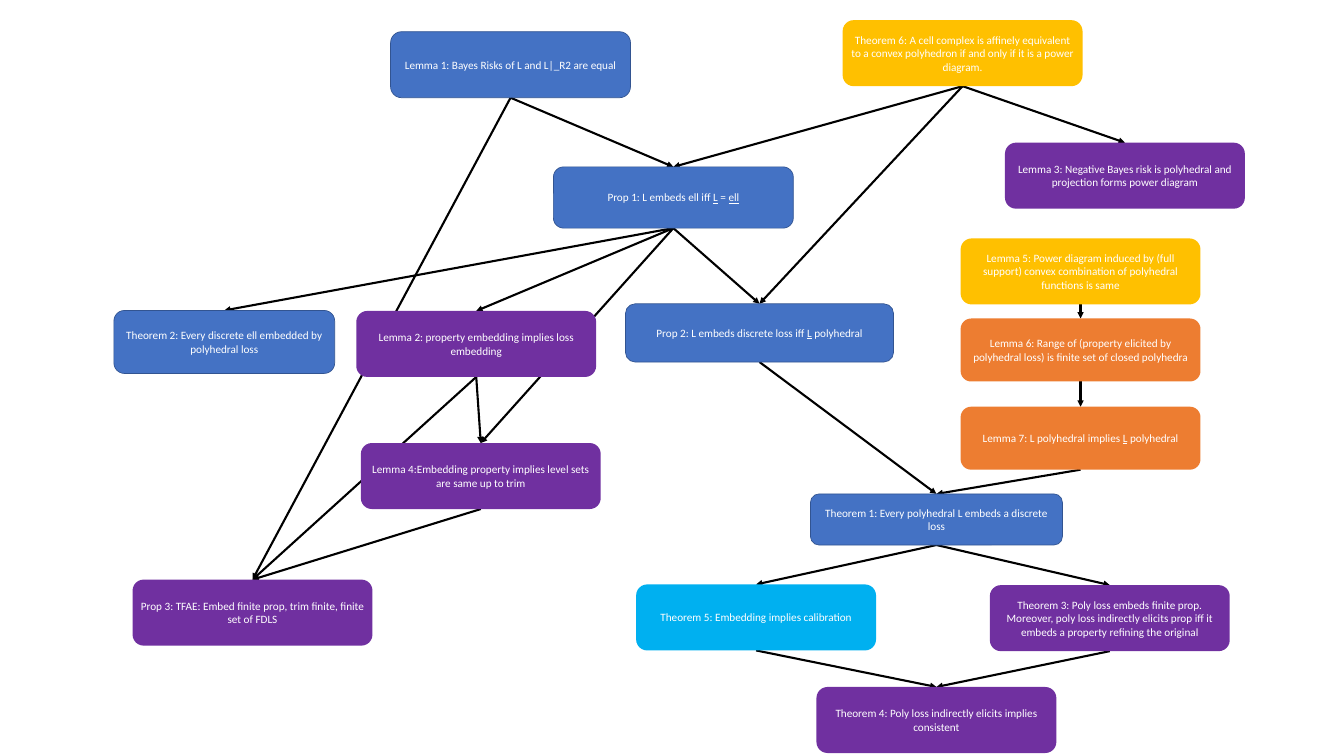
from pptx import Presentation
from pptx.dml.color import RGBColor
from pptx.enum.shapes import MSO_CONNECTOR, MSO_SHAPE
from pptx.enum.text import MSO_ANCHOR, PP_ALIGN
from pptx.oxml.ns import qn
from pptx.util import Pt
from lxml.etree import SubElement

BLUE = RGBColor(0x44, 0x72, 0xC4)
DARK_BLUE = RGBColor(0x32, 0x54, 0x91)
GOLD = RGBColor(0xFF, 0xC0, 0x00)
ORANGE = RGBColor(0xED, 0x7D, 0x31)
PURPLE = RGBColor(0x70, 0x30, 0xA0)
CYAN = RGBColor(0x00, 0xB0, 0xF0)
WHITE = RGBColor(0xFF, 0xFF, 0xFF)
BLACK = RGBColor(0x00, 0x00, 0x00)

SIZE = (342.72, 94.3)
LOW_SIZE = (342.72, 90)
TOP, BOTTOM = 0, 2  # connection sites of a rounded rectangle

# name: (left, top), (width, height), fill, text with *underlined* parts
STATEMENTS = {
    "Lemma 1": ((558, 45.3), SIZE, BLUE,
                "Lemma 1: Bayes Risks of L and L|_R2 are equal"),
    "Prop 1": ((790.6, 238.4), (342.72, 87.5), BLUE,
               "Prop 1: L embeds ell iff *L* = *ell*"),
    "Prop 2": ((893.5, 434), (383, 83.2), BLUE,
               "Prop 2: L embeds discrete loss iff *L* polyhedral"),
    "Theorem 1": ((1157.8, 705.6), (360, 73), BLUE,
                  "Theorem 1: Every polyhedral L embeds a discrete loss"),
    "Theorem 2": ((162.7, 443.5), (315.4, 90), BLUE,
                  "Theorem 2: Every discrete ell embedded by polyhedral loss"),
    "Theorem 6": ((1203.8, 28.8), SIZE, GOLD,
                  "Theorem 6: A cell complex is affinely equivalent to a convex "
                  "polyhedron if and only if it is a power diagram."),
    "Lemma 7": ((1372.3, 581), LOW_SIZE, ORANGE,
                "Lemma 7: L polyhedral implies *L* polyhedral"),
    "Lemma 6": ((1372.3, 455), LOW_SIZE, ORANGE,
                "Lemma 6: Range of (property elicited by polyhedral loss) "
                "is finite set of closed polyhedra"),
    "Lemma 5": ((1372.3, 340.6), SIZE, GOLD,
                "Lemma 5: Power diagram induced by (full support) convex "
                "combination of polyhedral functions is same"),
    "Lemma 3": ((1435.7, 203.8), SIZE, PURPLE,
                "Lemma 3: Negative Bayes risk is polyhedral and projection "
                "forms power diagram"),
    "Lemma 4": ((515.5, 632.9), SIZE, PURPLE,
                "Lemma 4:Embedding property implies level sets are same up to trim"),
    "Lemma 2": ((509, 444.2), SIZE, PURPLE,
                "Lemma 2: property embedding implies loss embedding"),
    "Prop 3": ((189.4, 828), SIZE, PURPLE,
               "Prop 3: TFAE: Embed finite prop, trim finite, finite set of FDLS"),
    "Theorem 3": ((1414.1, 835.9), SIZE, PURPLE,
                  "Theorem 3: Poly loss embeds finite prop. Moreover, poly loss "
                  "indirectly elicits prop iff it embeds a property refining "
                  "the original"),
    "Theorem 4": ((1166.4, 981.4), SIZE, PURPLE,
                  "Theorem 4: Poly loss indirectly elicits implies consistent"),
    "Theorem 5": ((908.8, 834.9), SIZE, CYAN,
                  "Theorem 5: Embedding implies calibration"),
}

# statement: the statements that build on it
IMPLICATIONS = {
    "Lemma 1": ["Prop 3", "Prop 1"],
    "Theorem 6": ["Prop 1", "Prop 2", "Lemma 3"],
    "Prop 1": ["Prop 2", "Theorem 2", "Lemma 2", "Lemma 4"],
    "Lemma 2": ["Prop 3", "Lemma 4"],
    "Lemma 4": ["Prop 3"],
    "Prop 2": ["Theorem 1"],
    "Lemma 5": ["Lemma 6"],
    "Lemma 6": ["Lemma 7"],
    "Lemma 7": ["Theorem 1"],
    "Theorem 1": ["Theorem 3", "Theorem 5"],
    "Theorem 3": ["Theorem 4"],
    "Theorem 5": ["Theorem 4"],
}


def add_statement(page, position, size, fill, text):
    box = page.shapes.add_shape(MSO_SHAPE.ROUNDED_RECTANGLE,
                                *map(Pt, position + size))
    box.shadow.inherit = False
    box.fill.solid()
    box.fill.fore_color.rgb = fill
    if fill == BLUE:
        box.line.color.rgb = DARK_BLUE
        box.line.width = Pt(1)
    else:
        box.line.fill.background()
    frame = box.text_frame
    frame.word_wrap = True
    frame.vertical_anchor = MSO_ANCHOR.MIDDLE
    para = frame.paragraphs[0]
    para.alignment = PP_ALIGN.CENTER
    para.font.name = "Calibri"
    para.font.size = Pt(16)
    para.font.color.rgb = WHITE
    for index, part in enumerate(text.split("*")):
        if part:
            span = para.add_run()
            span.text = part
            if index % 2:
                span.font.underline = True
    return box


def add_arrow(page, source, target):
    arrow = page.shapes.add_connector(MSO_CONNECTOR.STRAIGHT, 0, 0, 0, 0)
    arrow.begin_connect(source, BOTTOM)
    arrow.end_connect(target, TOP)
    arrow.line.color.rgb = BLACK
    arrow.line.width = Pt(3)
    SubElement(arrow.line._get_or_add_ln(), qn("a:tailEnd"), type="triangle")
    SubElement(arrow._element.spPr, qn("a:effectLst"))
    return arrow


def send_to_back(page, shape):
    page.shapes._spTree.insert(2, shape._element)


def main():
    deck = Presentation()
    deck.slide_width, deck.slide_height = Pt(1920), Pt(1080)
    page = deck.slides.add_slide(deck.slide_layouts[6])

    # Statements
    boxes = {name: add_statement(page, *details)
             for name, details in STATEMENTS.items()}

    # Arrows run behind the statements
    for source, targets in IMPLICATIONS.items():
        for target in targets:
            send_to_back(page, add_arrow(page, boxes[source], boxes[target]))

    deck.save("out.pptx")


main()
